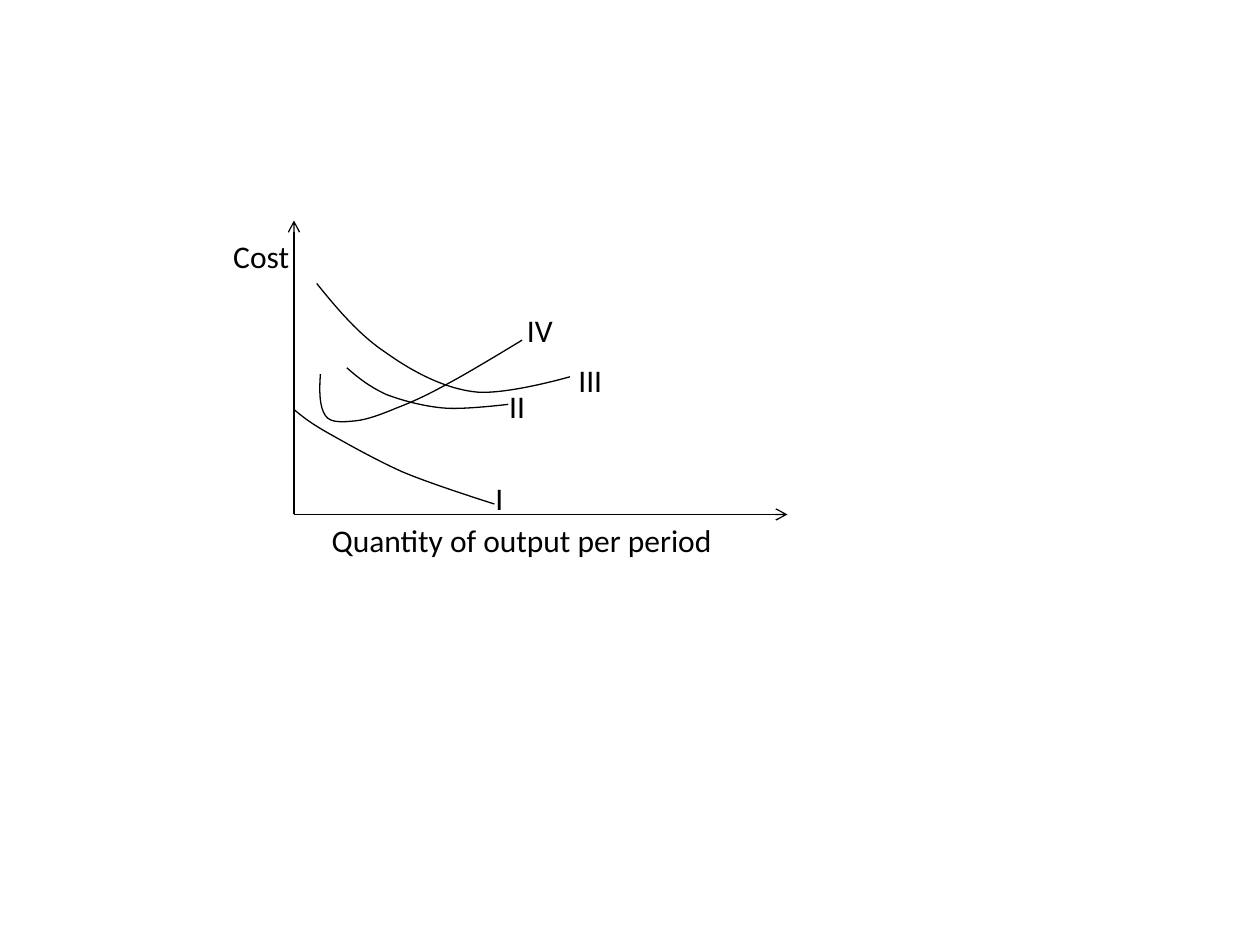
from pptx import Presentation
from pptx.dml.color import RGBColor
from pptx.enum import shapes, text
from pptx.oxml import xmlchemy
from pptx.util import Pt

COLORS = {"ink": "000000"}

CURVES = {
    "I": [(0, 108), (4.3, 111.6), (8.6, 115.2), (18.7, 121),
          (28.8, 126.7), (45.4, 136.1), (61.2, 143.3),
          (77.8, 150.5), (114.5, 162), (114.5, 162)],
    "II": [(30.2, 84.2), (36.7, 90), (43.2, 95), (52.6, 99.4),
           (61.9, 103), (75.6, 106.6), (87.1, 107.3),
           (98.6, 108), (122.4, 105.1), (122.4, 105.1)],
    "IV": [(15.1, 87.8), (14.4, 97.2), (14.4, 106.6), (18, 111.6),
           (20.9, 115.9), (28.1, 115.2), (35.3, 114.5),
           (41.8, 113.8), (49.7, 110.9), (58.3, 107.3),
           (67.7, 103.7), (77, 99.4), (88.6, 92.9),
           (100.8, 86.4), (130.3, 68.4), (130.3, 68.4)],
    "III": [(13, 36), (25.2, 51.1), (37.4, 65.5), (52.6, 75.6),
            (67.7, 86.4), (85.7, 95.8), (103, 97.9),
            (120.2, 100.1), (157.7, 89.3), (157.7, 89.3)],
}

LABELS = [
    ("IV", 126, 48.2, 29.5),
    ("III", 155.5, 77, 28),
    ("II", 115.9, 91.4, 23.8),
    ("I", 108, 144, 19.4),
    ("Quantity of output per period", 14.4, 168, 239),
    ("Cost", -41.8, 6, 51),
]


def style_line(line, color="ink", width=0.75):
    line.color.rgb = RGBColor.from_string(COLORS[color])
    line.width = Pt(width)


def add_axis(page, start, end):
    axis = page.shapes.add_connector(
        shapes.MSO_CONNECTOR.STRAIGHT, *(Pt(value) for value in start + end))
    style_line(axis.line)
    arrow = xmlchemy.OxmlElement("a:tailEnd")
    arrow.set("type", "arrow")
    axis.get_or_add_ln().append(arrow)
    axis.element.spPr.append(xmlchemy.OxmlElement("a:effectLst"))


def add_curve(page, points):
    start, *rest = [(Pt(x), Pt(y)) for x, y in points]
    builder = page.shapes.build_freeform(*start)
    builder.add_line_segments(rest, close=False)
    curve = builder.convert_to_shape()
    curve.shadow.inherit = False
    curve.fill.background()
    style_line(curve.line)
    segments = curve.element.xpath(".//a:lnTo")
    for first in range(0, len(segments), 3):
        bezier = xmlchemy.OxmlElement("a:cubicBezTo")
        segments[first].addprevious(bezier)
        for segment in segments[first:first + 3]:
            bezier.append(segment[0])
            segment.getparent().remove(segment)


def add_label(page, words, left, top, width, height=29, size=18,
              font="Calibri", color="ink"):
    box = page.shapes.add_textbox(Pt(left), Pt(top), Pt(width), Pt(height))
    frame = box.text_frame
    frame.word_wrap = False
    frame.auto_size = text.MSO_AUTO_SIZE.SHAPE_TO_FIT_TEXT
    span = frame.paragraphs[0].add_run()
    span.text = words
    span.font.size = Pt(size)
    span.font.name = font
    span.font.color.rgb = RGBColor.from_string(COLORS[color])


def add_cost_diagram(page, left, top, width, height):
    origin = (left, top + height)
    add_axis(page, origin, (left, top))
    add_axis(page, origin, (left + width, top + height))
    for points in CURVES.values():
        add_curve(page, [(left + x, top + y) for x, y in points])
    for words, x, y, label_width in LABELS:
        add_label(page, words, left + x, top + y, label_width)


def main():
    deck = Presentation()
    deck.slide_width, deck.slide_height = Pt(720), Pt(540)
    page = deck.slides.add_slide(deck.slide_layouts[6])
    add_cost_diagram(page, left=168, top=126, width=282, height=168)
    deck.save("out.pptx")


if __name__ == "__main__":
    main()
